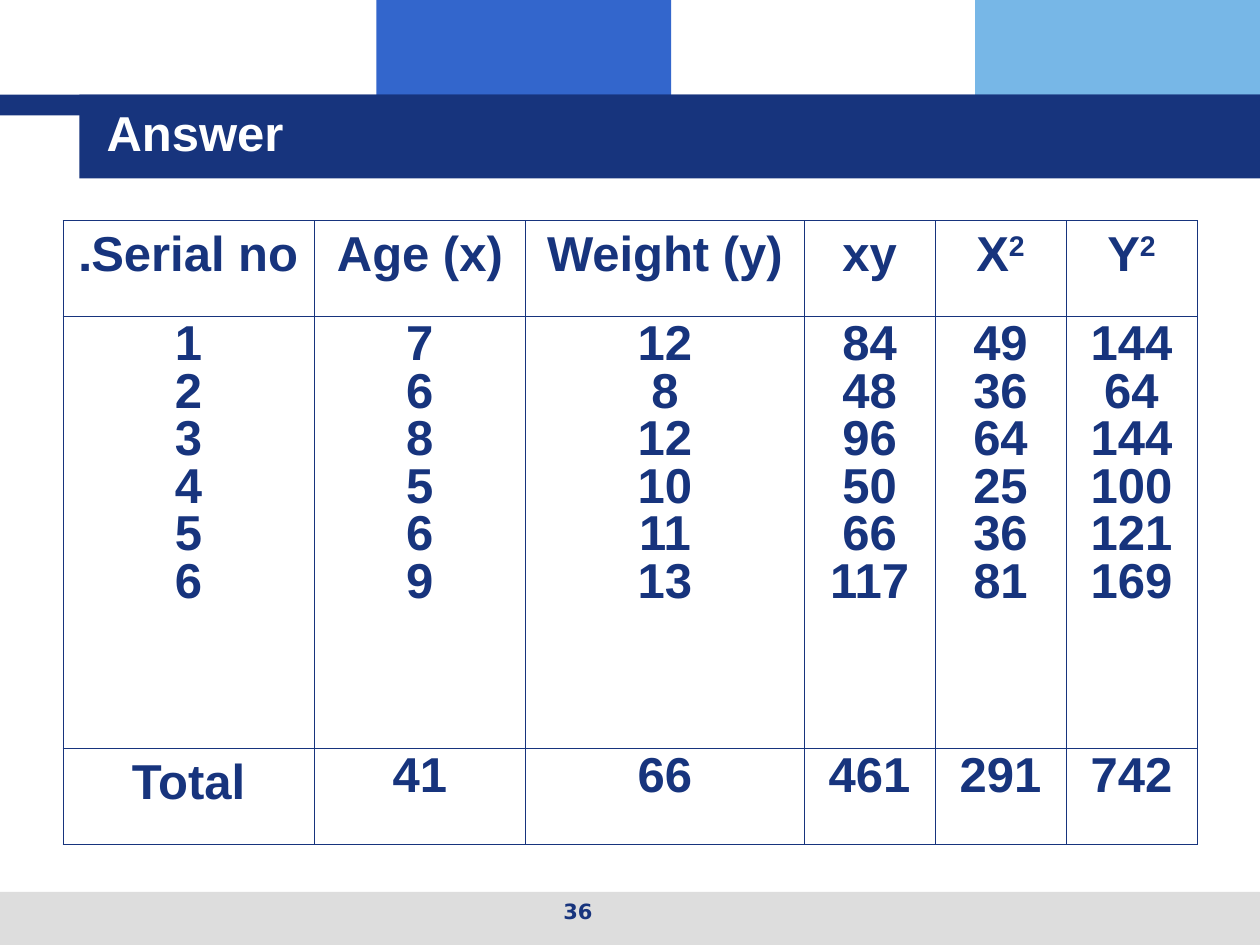
from lxml.etree import SubElement
from pptx import Presentation
from pptx.dml.color import RGBColor
from pptx.enum.shapes import MSO_SHAPE
from pptx.enum.text import MSO_ANCHOR, PP_ALIGN
from pptx.oxml.ns import qn
from pptx.util import Cm, Pt

NAVY = RGBColor(0x17, 0x34, 0x7D)
BLUE = RGBColor(0x33, 0x66, 0xCC)
SKY = RGBColor(0x77, 0xB7, 0xE7)
GREY = RGBColor(0xDD, 0xDD, 0xDD)
WHITE = RGBColor(0xFF, 0xFF, 0xFF)

WIDE, HIGH = 25.4, 19.05
AGES = [7, 6, 8, 5, 6, 9]
WEIGHTS = [12, 8, 12, 10, 11, 13]


def write(frame, lines, size=28, font="Arial", color=NAVY, align=PP_ALIGN.CENTER,
          anchor=MSO_ANCHOR.TOP, pitch=None, rtl=False):
    """Fill a text frame; a caret in a line starts a superscript."""
    frame.word_wrap = True
    frame.vertical_anchor = anchor
    for i, line in enumerate(lines):
        par = frame.paragraphs[0] if i == 0 else frame.add_paragraph()
        par.alignment = align
        par.line_spacing = pitch
        if rtl:
            par._p.get_or_add_pPr().set("rtl", "1")
        for j, part in enumerate(str(line).split("^")):
            run = par.add_run()
            run.text = part
            run.font.size = Pt(size)
            run.font.name = font
            run.font.bold = True
            run.font.color.rgb = color
            if j:
                run.font._element.set("baseline", "30000")


def block(slide, x, y, w, h, color):
    rect = slide.shapes.add_shape(MSO_SHAPE.RECTANGLE, Cm(x), Cm(y), Cm(w), Cm(h))
    rect.shadow.inherit = False
    rect.fill.solid()
    rect.fill.fore_color.rgb = color
    rect.line.fill.background()


def label(slide, x, y, w, h, text, **style):
    box = slide.shapes.add_textbox(Cm(x), Cm(y), Cm(w), Cm(h))
    write(box.text_frame, [text], **style)


def frame_cell(cell):
    """Thin navy lines on all four sides, no fill."""
    props = cell._tc.get_or_add_tcPr()
    for side in ("lnL", "lnR", "lnT", "lnB"):
        line = SubElement(props, qn(f"a:{side}"), w=str(Pt(0.45)))
        solid = SubElement(line, qn("a:solidFill"))
        SubElement(solid, qn("a:srgbClr"), val=str(NAVY))
    cell.fill.background()


def header(slide, x, y, w, h, title):
    # Colour tiles above the title bar
    tile = 0.65 * h
    block(slide, x + 7.59, y, 5.94, tile, BLUE)
    block(slide, x + 19.66, y, w - 19.66, tile, SKY)
    # Stepped title bar
    top = y + 1.91
    block(slide, x, top, w, 0.42, NAVY)
    block(slide, x + 1.6, top, w - 1.6, h - 1.91, NAVY)
    label(slide, x + 1.9, y + 1.06, 22.86, 3.18, title, color=WHITE,
          align=PP_ALIGN.LEFT, anchor=MSO_ANCHOR.MIDDLE)


def sums(slide, x, y, w, h):
    # Each column: heading, its values, and the last-row entry
    pairs = list(zip(AGES, WEIGHTS))
    cols = {
        "Age (x)": AGES,
        "Weight (y)": WEIGHTS,
        "xy": [a * b for a, b in pairs],
        "X^2": [a * a for a in AGES],
        "Y^2": [b * b for b in WEIGHTS],
    }
    data = [("Serial no.", range(1, len(pairs) + 1), "Total")]
    data += [(head, vals, sum(vals)) for head, vals in cols.items()]

    shape = slide.shapes.add_table(3, len(data), Cm(x), Cm(y), Cm(w), Cm(h))
    grid = shape.table
    grid.first_row = grid.horz_banding = False
    for col, size in zip(grid.columns, (5.06, 4.27, 5.61, 2.64, 2.64, 2.64)):
        col.width = Cm(size)
    edge = 1.93
    for row, size in zip(grid.rows, (edge, h - 2 * edge, edge)):
        row.height = Cm(size)

    for c, (head, vals, total) in enumerate(data):
        for r, lines in enumerate(([head], vals, [total])):
            cell = grid.cell(r, c)
            frame_cell(cell)
            words = isinstance(lines[0], str)
            write(cell.text_frame, lines, rtl=words, pitch=None if words else 0.87)


def footer(slide, x, y, w, h, number):
    block(slide, x, y, w, h, GREY)
    label(slide, x + 8.69, y, 5.92, 0.89, number, size=12, font="DejaVu Sans")


def main():
    deck = Presentation()
    deck.slide_width, deck.slide_height = Cm(WIDE), Cm(HIGH)
    slide = deck.slides.add_slide(deck.slide_layouts[6])
    header(slide, 0, 0, WIDE, 3.6, "Answer")
    sums(slide, 1.27, 4.45, 22.86, 12.57)
    footer(slide, 0, 17.98, WIDE, HIGH - 17.98, "36")
    deck.save("out.pptx")


if __name__ == "__main__":
    main()
